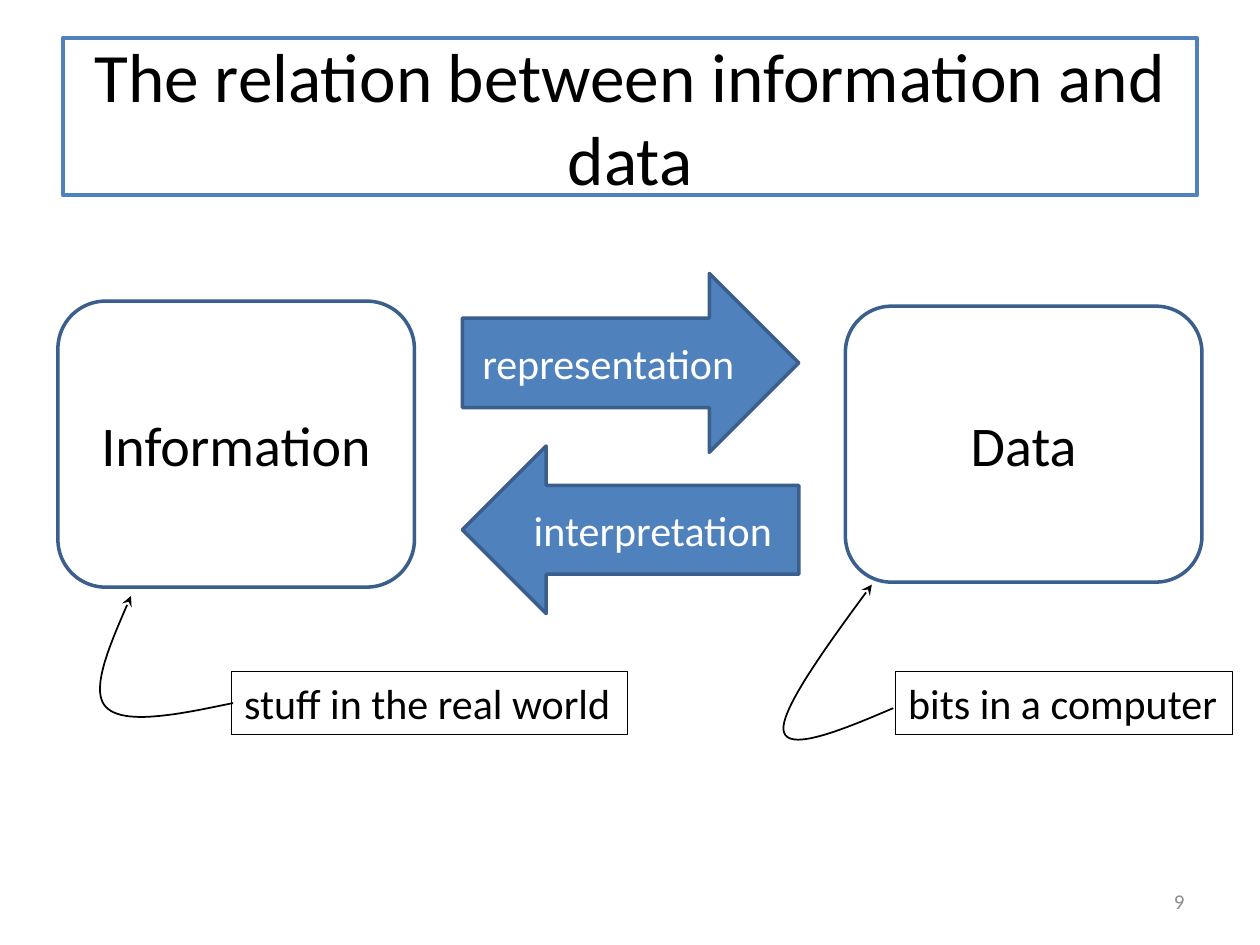
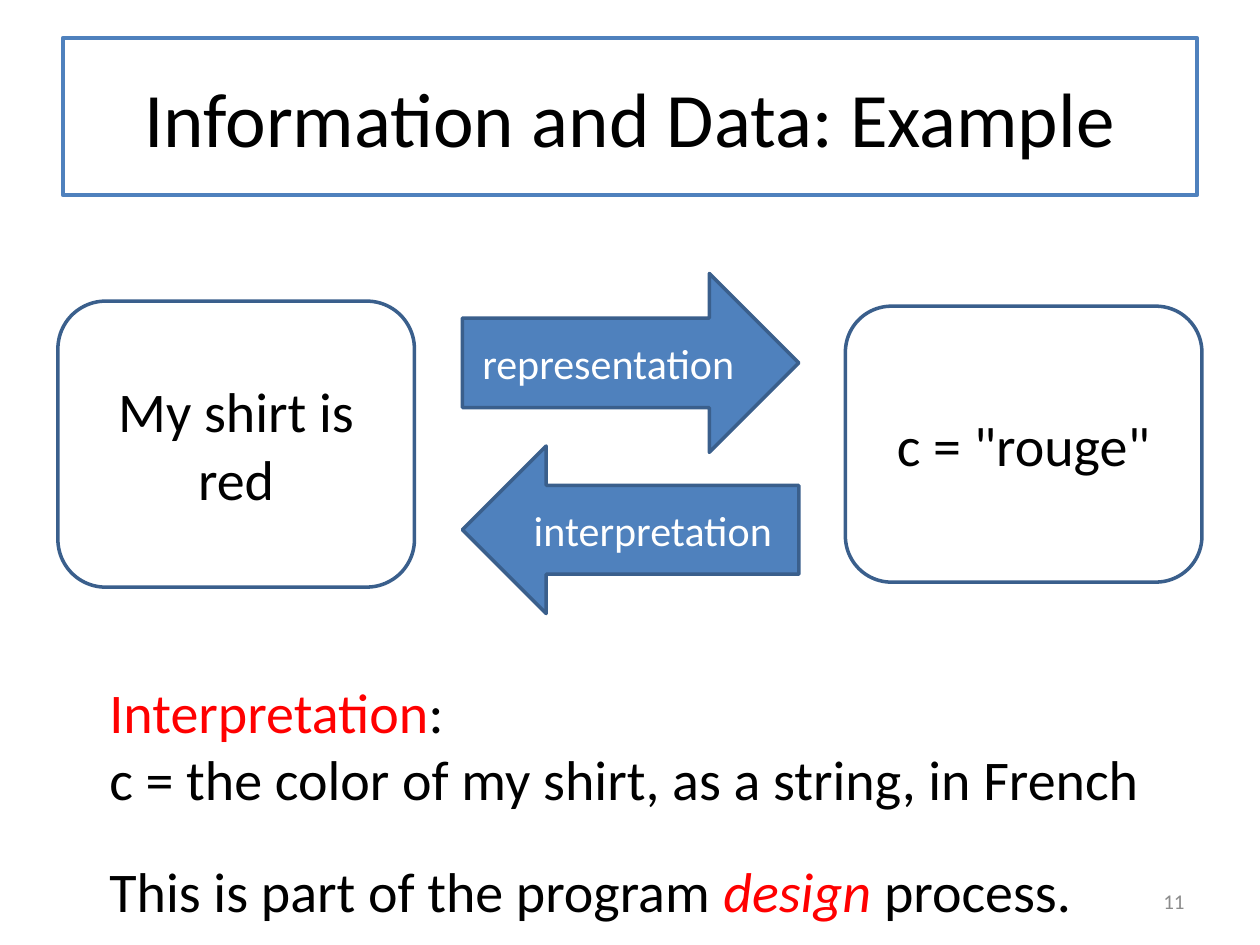
from dataclasses import dataclass

from lxml.etree import SubElement
from pptx import Presentation
from pptx.dml.color import RGBColor
from pptx.enum.shapes import MSO_SHAPE
from pptx.enum.text import MSO_ANCHOR, MSO_AUTO_SIZE, PP_ALIGN
from pptx.oxml.ns import qn
from pptx.util import Inches, Pt


@dataclass(frozen=True)
class Theme:
    font: str = "Calibri"
    black: str = "000000"
    white: str = "FFFFFF"
    blue: str = "4F81BD"
    dark_blue: str = "3A5F8C"
    red: str = "FF0000"
    grey: str = "8C8C8C"
    title_size: float = 44
    long_title_size: float = 39.6
    body_size: float = 32
    label_size: float = 24
    number_size: float = 12


THEME = Theme()
CURVE_STEPS = 24


# Text and outline helpers
def write(box, paragraphs, size, color=THEME.black, align=PP_ALIGN.LEFT,
          **frame_format):
    """Each paragraph is a list of (text, changed format values)."""
    frame = box.text_frame
    for name, value in frame_format.items():
        setattr(frame, name, value)
    for index, spans in enumerate(paragraphs):
        para = frame.add_paragraph() if index else frame.paragraphs[0]
        para.alignment = align
        for text, changes in spans:
            span = para.add_run()
            span.text = text
            values = {"name": THEME.font, "size": Pt(size), **changes}
            span.font.color.rgb = RGBColor.from_string(values.pop("color", color))
            for name, value in values.items():
                setattr(span.font, name, value)


def paint(shape, line, width, fill=None):
    shape.shadow.inherit = False
    if fill:
        shape.fill.solid()
        shape.fill.fore_color.rgb = RGBColor.from_string(fill)
    else:
        shape.fill.background()
    shape.line.color.rgb = RGBColor.from_string(line)
    shape.line.width = Pt(width)


# Kinds of element
def add_block(page, kind, place, text, size, line=THEME.dark_blue, width=2,
              fill=None, color=THEME.black):
    block = page.shapes.add_shape(kind, *map(Inches, place))
    paint(block, line, width, fill)
    write(block, [[(text, {})]], size, color, PP_ALIGN.CENTER,
          word_wrap=True, vertical_anchor=MSO_ANCHOR.MIDDLE)
    return block


def add_note(page, place, paragraphs, size):
    note = page.shapes.add_textbox(*map(Inches, place))
    write(note, paragraphs, size, word_wrap=False,
          auto_size=MSO_AUTO_SIZE.SHAPE_TO_FIT_TEXT)
    return note


def add_callout(page, place, text, curve):
    note = add_note(page, place, [[(text, {})]], THEME.label_size)
    paint(note, THEME.black, 0.75)
    add_curved_arrow(page, curve)


def bezier_point(points, t):
    weights = ((1 - t) ** 3, 3 * t * (1 - t) ** 2, 3 * t * t * (1 - t), t ** 3)
    return tuple(Inches(sum(w * p[axis] for w, p in zip(weights, points)))
                 for axis in (0, 1))


def add_curved_arrow(page, curve):
    """Two cubic pieces: start, then two controls and an end for each."""
    track = [bezier_point(curve[first:first + 4], step / CURVE_STEPS)
             for first in (0, 3) for step in range(1, CURVE_STEPS + 1)]
    builder = page.shapes.build_freeform(*map(Inches, curve[0]))
    builder.add_line_segments(track, close=False)
    arrow = builder.convert_to_shape()
    paint(arrow, THEME.black, 1)
    SubElement(arrow.line._get_or_add_ln(), qn("a:tailEnd"), type="stealth")


# Parts shared by both slides
def add_page(deck, title, title_size, number):
    page = deck.slides.add_slide(deck.slide_layouts[6])
    add_block(page, MSO_SHAPE.RECTANGLE, (0.5, 0.3, 9, 1.25), title,
              title_size, THEME.blue, 2.25)
    footer = page.shapes.add_textbox(*map(Inches, (7.17, 6.95, 2.33, 0.4)))
    write(footer, [[(str(number), {})]], THEME.number_size, THEME.grey,
          PP_ALIGN.RIGHT, word_wrap=True, vertical_anchor=MSO_ANCHOR.MIDDLE)
    return page


def add_diagram(page, information, data):
    for place, text in (((0.46, 2.39, 2.83, 2.27), information),
                        ((6.71, 2.43, 2.83, 2.19), data)):
        add_block(page, MSO_SHAPE.ROUNDED_RECTANGLE, place, text, THEME.body_size)
    arrows = (
        (MSO_SHAPE.RIGHT_ARROW, 2.17, 1.42, "representation", 0.5),
        (MSO_SHAPE.LEFT_ARROW, 3.54, 1.33, "interpretation", 0.53),
    )
    for kind, top, height, text, shaft in arrows:
        arrow = add_block(page, kind, (3.67, top, 2.67, height), text,
                          THEME.label_size, fill=THEME.blue, color=THEME.white)
        arrow.adjustments[0] = shaft


# The two slides
def add_relation_page(deck):
    page = add_page(deck, "The relation between information and data",
                    THEME.long_title_size, 9)
    add_diagram(page, "Information", "Data")
    add_callout(page, (1.84, 5.33, 3.14, 0.5), "stuff in the real world",
                ((1.85, 5.58), (1.42, 5.67), (0.98, 5.76), (0.84, 5.61),
                 (0.71, 5.47), (0.88, 5.1), (1.04, 4.73)))
    add_callout(page, (7.11, 5.33, 2.67, 0.5), "bits in a computer",
                ((7.09, 5.62), (6.67, 5.8), (6.25, 5.97), (6.22, 5.8),
                 (6.19, 5.64), (6.55, 5.14), (6.92, 4.64)))


def add_example_page(deck):
    page = add_page(deck, "Information and Data: Example", THEME.title_size, 11)
    add_diagram(page, "My shirt is red", 'c = "rouge"')
    red = {"color": THEME.red}
    add_note(page, (0.77, 5.33, 8.46, 1.18), [
        [("Interpretation", red), (":", {})],
        [("c = the color of my shirt, as a string, in French", {})],
    ], THEME.body_size)
    add_note(page, (0.77, 6.75, 7.91, 0.64), [
        [("This is part of the program ", {}),
         ("design", {**red, "italic": True}), (" process.", {})],
    ], THEME.body_size)


def main():
    deck = Presentation()
    deck.slide_width, deck.slide_height = Inches(10), Inches(7.5)
    add_relation_page(deck)
    add_example_page(deck)
    deck.save("out.pptx")


if __name__ == "__main__":
    main()
